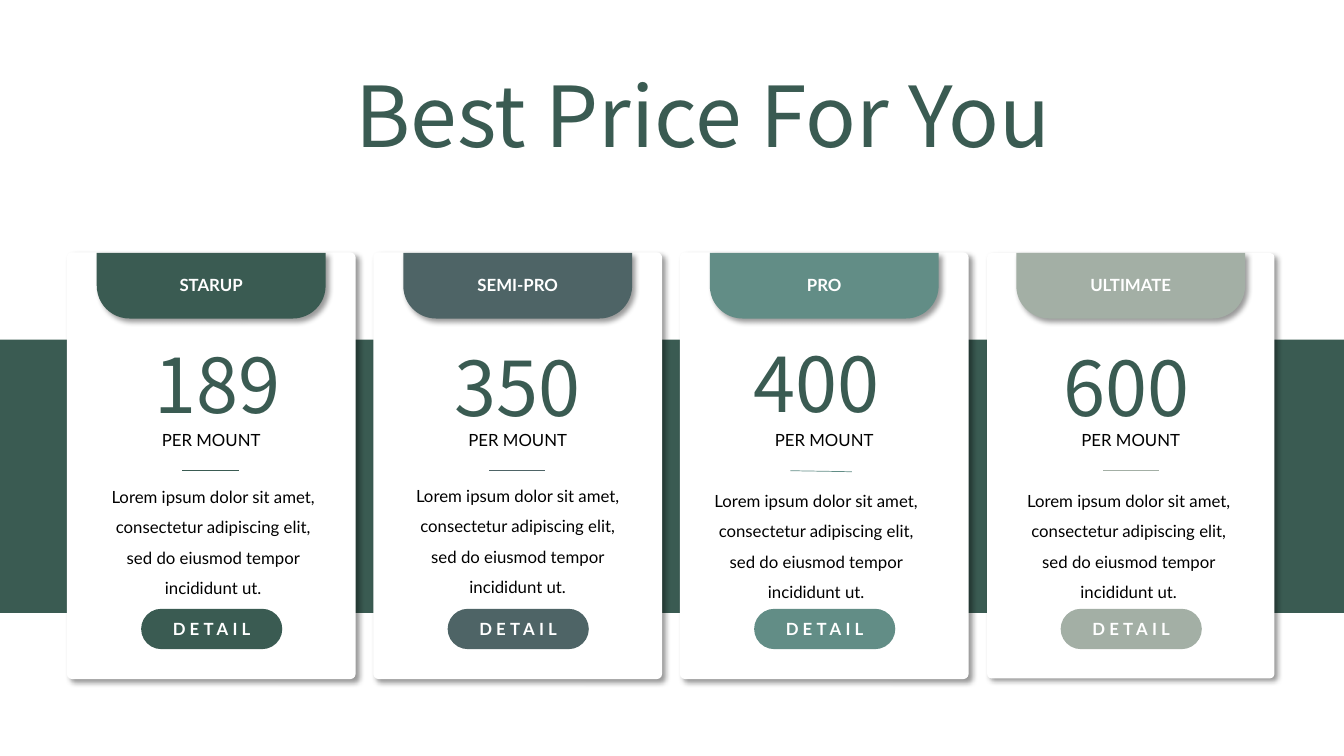
from dataclasses import dataclass

from lxml.etree import SubElement
from pptx import Presentation
from pptx.dml.color import RGBColor
from pptx.enum.shapes import MSO_CONNECTOR, MSO_SHAPE
from pptx.enum.text import MSO_ANCHOR, MSO_AUTO_SIZE, PP_ALIGN
from pptx.oxml.ns import qn
from pptx.shapes.autoshape import Shape
from pptx.shapes.shapetree import SlideShapes
from pptx.text.text import TextFrame
from pptx.util import Inches, Pt

GREEN = RGBColor(0x3A, 0x5B, 0x52)
SLATE = RGBColor(0x4E, 0x64, 0x66)
TEAL = RGBColor(0x62, 0x8D, 0x86)
SAGE = RGBColor(0xA3, 0xAF, 0xA5)
WHITE = RGBColor(0xFF, 0xFF, 0xFF)
BLACK = RGBColor(0, 0, 0)

BODY_FONT = "Lato"
DISPLAY_FONT = "Noto Sans CJK SC"
HEADING = {"name": DISPLAY_FONT, "size": Pt(60), "bold": False}
PRICE = {"name": DISPLAY_FONT, "size": Pt(54)}
BODY = {"name": BODY_FONT, "size": Pt(12)}
STRONG = {**BODY, "bold": True}

CARD_LEFT, CARD_TOP, CARD_PITCH = 0.67, 2.51, 3.04
DESCRIPTION = ("Lorem ipsum dolor sit amet, consectetur adipiscing elit, "
               "sed do eiusmod tempor incididunt ut.")

Box = tuple[float, float, float, float]


@dataclass(frozen=True)
class Plan:
    name: str
    price: str
    color: RGBColor
    price_at: tuple[float, float]
    description_at: tuple[float, float]
    outlined: bool = True
    rule_offset: float = 1.14
    rule_width: float = 0.56
    rule_drop: float = 0


PLANS = [
    Plan("STARUP", "189", GREEN, (1.04, 3.3), (0.96, 4.68)),
    Plan("SEMI-PRO", "350", SLATE, (4.02, 3.33), (3.98, 4.67)),
    Plan("PRO", "400", TEAL, (6.98, 3.29), (6.94, 4.72),
         rule_offset=1.09, rule_width=0.61, rule_drop=0.01),
    Plan("ULTIMATE", "600", SAGE, (10.06, 3.33), (10.04, 4.72), outlined=False,
         rule_offset=1.15),
]


def write(frame: TextFrame, text: str, style: dict, color: RGBColor,
          line_spacing: float | None = None, tracking: float = 0) -> None:
    """Fill a frame with one centred paragraph; tracking is in points."""
    paragraph = frame.paragraphs[0]
    paragraph.alignment = PP_ALIGN.CENTER
    if line_spacing:
        paragraph.line_spacing = line_spacing
    run = paragraph.add_run()
    run.text = text
    for attribute, value in style.items():
        setattr(run.font, attribute, value)
    run.font.color.rgb = color
    if tracking:
        run.font._element.set("spc", str(round(tracking * 100)))


def add_label(shapes: SlideShapes, box: Box, text: str, style: dict,
              color: RGBColor, wrap: bool = True,
              line_spacing: float | None = None) -> None:
    frame = shapes.add_textbox(*map(Inches, box)).text_frame
    frame.word_wrap = wrap
    frame.auto_size = MSO_AUTO_SIZE.SHAPE_TO_FIT_TEXT
    write(frame, text, style, color, line_spacing)


def add_panel(shapes: SlideShapes, kind: MSO_SHAPE, box: Box, fill: RGBColor,
              corners: tuple[float, ...] = (), shadow: bool = False) -> Shape:
    panel = shapes.add_shape(kind, *map(Inches, box))
    for index, corner in enumerate(corners):
        panel.adjustments[index] = corner
    panel.fill.solid()
    panel.fill.fore_color.rgb = fill
    panel.line.fill.background()
    panel.shadow.inherit = False
    if shadow:
        add_shadow(panel)
    return panel


def add_shadow(panel: Shape) -> None:
    """Cast a soft 40% black shadow down and to the right."""
    effects = panel._element.spPr.find(qn("a:effectLst"))
    outer = SubElement(effects, qn("a:outerShdw"), blurRad=str(Pt(4)),
                       dist=str(Pt(3)), dir="2700000", algn="tl", rotWithShape="0")
    tint = SubElement(outer, qn("a:srgbClr"), val=str(BLACK))
    SubElement(tint, qn("a:alpha"), val="40000")


def add_rule(shapes: SlideShapes, left: float, plan: Plan) -> None:
    start, top = left + plan.rule_offset, 4.67
    ends = (start, top, start + plan.rule_width, top + plan.rule_drop)
    rule = shapes.add_connector(MSO_CONNECTOR.STRAIGHT, *map(Inches, ends))
    rule.line.color.rgb = plan.color
    rule.line.width = Pt(0.5)
    SubElement(rule._element.spPr, qn("a:effectLst"))


def add_card(shapes: SlideShapes, left: float, plan: Plan) -> None:
    card = add_panel(shapes, MSO_SHAPE.ROUNDED_RECTANGLE,
                     (left, CARD_TOP, 2.85, 4.22), WHITE, (0.016,), shadow=True)
    if plan.outlined:
        card.line.color.rgb = WHITE
        card.line.width = Pt(1)
    tab_left = left + 0.29
    add_panel(shapes, MSO_SHAPE.ROUND_2_SAME_RECTANGLE,
              (tab_left, CARD_TOP, 2.27, 0.65), plan.color, (0, 0.5), shadow=True)
    add_label(shapes, (tab_left, 2.68, 2.27, 0.3), plan.name, STRONG, WHITE, wrap=False)
    add_label(shapes, (*plan.price_at, 2.23, 1.01), plan.price, PRICE, GREEN)
    add_label(shapes, (left + 0.83, 4.21, 1.19, 0.3), "PER MOUNT", BODY, BLACK, wrap=False)
    add_rule(shapes, left, plan)
    add_label(shapes, (*plan.description_at, 2.31, 1.27), DESCRIPTION, BODY, BLACK,
              line_spacing=1.5)
    button = add_panel(shapes, MSO_SHAPE.ROUNDED_RECTANGLE,
                       (left + 0.73, 6.04, 1.4, 0.4), plan.color, (0.5,))
    button.text_frame.vertical_anchor = MSO_ANCHOR.MIDDLE
    write(button.text_frame, "DETAIL", STRONG, WHITE, tracking=3)


def add_title(shapes: SlideShapes) -> None:
    title = shapes.title
    title.left, title.top, title.width, title.height = map(
        Inches, (2.86, 0.58, 8.23, 1.11))
    frame = title.text_frame
    frame.word_wrap = True
    frame.auto_size = MSO_AUTO_SIZE.NONE
    frame.vertical_anchor = MSO_ANCHOR.TOP
    write(frame, "Best Price For You", HEADING, GREEN)


def main() -> None:
    presentation = Presentation()
    presentation.slide_width = Inches(13.33)
    presentation.slide_height = Inches(7.5)
    shapes = presentation.slides.add_slide(presentation.slide_layouts[5]).shapes
    add_title(shapes)
    add_panel(shapes, MSO_SHAPE.RECTANGLE, (-0.02, 3.37, 13.35, 2.71), GREEN)
    for index, plan in enumerate(PLANS):
        add_card(shapes, CARD_LEFT + index * CARD_PITCH, plan)
    presentation.save("out.pptx")


if __name__ == "__main__":
    main()
